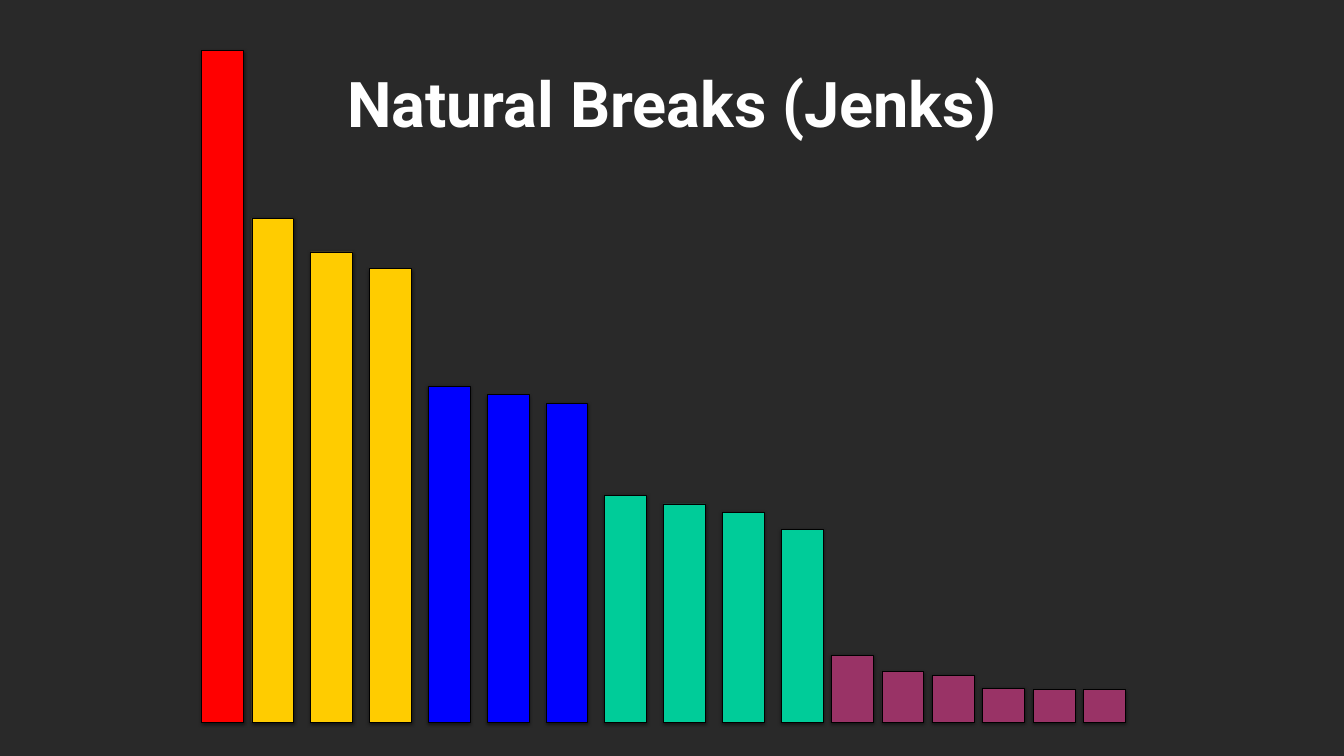
from lxml import etree
from pptx import Presentation
from pptx import util as u
from pptx.dml.color import RGBColor
from pptx.enum import shapes, text
from pptx.oxml.ns import qn

BASELINE = 14.33
BAR_WIDTH = 0.83
FIRST_LEFT = 4
WIDE_STEP = 7 / 6
# Each class: colour, bar heights in inches
CLASSES = [
    ("FF0000", [13.33]),
    ("FFCC00", [10, 9.33, 9]),
    ("0000FF", [6.67, 6.5, 6.33]),
    ("00CC99", [4.5, 4.33, 4.17, 3.83]),
    ("993366", [1.33, 1, 0.93, 0.67, 0.65, 0.65]),
]
TIGHT_CLASSES = ("FF0000", "993366")


def rgb(hex_code):
    return RGBColor.from_string(hex_code)


def add_soft_shadow(shape):
    """Half-transparent black shadow, 5 pt blur, 2 pt straight down."""
    effects = etree.SubElement(shape._element.spPr, qn("a:effectLst"))
    shadow = etree.SubElement(
        effects, qn("a:outerShdw"), blurRad=str(u.Pt(5)), dist=str(u.Pt(2)),
        dir=str(90 * 60000), rotWithShape="0")
    colour = etree.SubElement(shadow, qn("a:srgbClr"), val="000000")
    etree.SubElement(colour, qn("a:alpha"), val="50000")


def add_bar(slide, left, height, colour):
    bar = slide.shapes.add_shape(
        shapes.MSO_SHAPE.RECTANGLE, u.Inches(left), u.Inches(BASELINE - height),
        u.Inches(BAR_WIDTH), u.Inches(height))
    bar.fill.solid()
    bar.fill.fore_color.rgb = rgb(colour)
    bar.line.color.rgb = rgb("000000")
    bar.line.width = u.Pt(1)
    add_soft_shadow(bar)


def add_bars(slide):
    """Bars stand 1 inch apart before a tight class's neighbour, else 7/6 inch."""
    left = FIRST_LEFT
    previous = None
    for colour, heights in CLASSES:
        for height in heights:
            if previous:
                tight = previous in TIGHT_CLASSES or colour in TIGHT_CLASSES
                left += 1 if tight else WIDE_STEP
            add_bar(slide, left, height, colour)
            previous = colour


def write_text(frame, words, size, font, colour, bold=False,
               align=text.PP_ALIGN.CENTER):
    paragraph = frame.paragraphs[0]
    paragraph.alignment = align
    run = paragraph.add_run()
    run.text = words
    run.font.size = u.Pt(size)
    run.font.name = font
    run.font.bold = bold
    run.font.color.rgb = rgb(colour)


def set_title(slide, words):
    title = slide.shapes.title
    title.left, title.top = u.Inches(4.51), u.Inches(0.37)
    title.width, title.height = u.Inches(17.66), u.Inches(3.3)
    frame = title.text_frame
    frame.word_wrap = True
    frame.auto_size = text.MSO_AUTO_SIZE.NONE
    frame.vertical_anchor = text.MSO_ANCHOR.MIDDLE
    frame.margin_left = frame.margin_right = u.Inches(0.08)
    frame.margin_top = frame.margin_bottom = u.Inches(0.08)
    write_text(frame, words, size=90, font="Roboto", colour="FFFFFF", bold=True)
    slide.shapes._spTree.append(title._element)  # in front of the bars


def main():
    deck = Presentation()
    deck.slide_width, deck.slide_height = u.Inches(26.67), u.Inches(15)
    slide = deck.slides.add_slide(deck.slide_layouts[5])
    slide.background.fill.solid()
    slide.background.fill.fore_color.rgb = rgb("292929")
    add_bars(slide)
    set_title(slide, "Natural Breaks (Jenks)")
    deck.save("out.pptx")


if __name__ == "__main__":
    main()
